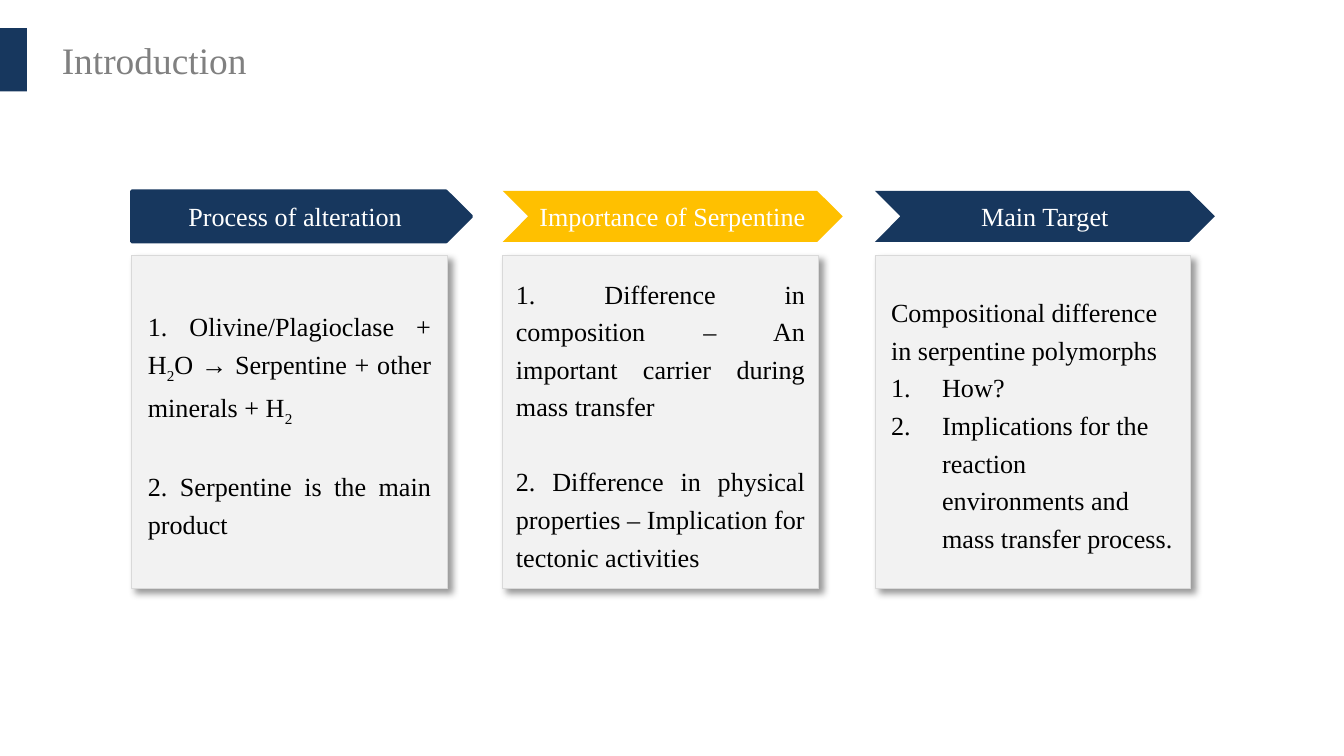
from lxml import etree
from pptx import Presentation
from pptx import util as u
from pptx.dml import color
from pptx.enum import shapes, text
from pptx.oxml import ns

HUES = {"navy": "17375E", "gold": "FFC000", "pale": "F2F2F2", "edge": "D9D9D9",
        "grey": "808080", "white": "FFFFFF", "black": "000000"}
FORM = shapes.MSO_SHAPE
SIDE = text.PP_ALIGN


def paint(shape, fill, line=None, width=0):
    shape.shadow.inherit = False
    shape.fill.solid()
    shape.fill.fore_color.rgb = color.RGBColor.from_string(HUES[fill])
    if line:
        shape.line.color.rgb = color.RGBColor.from_string(HUES[line])
        shape.line.width = u.Pt(width)
    else:
        shape.line.fill.background()


def write(shape, *lines, size=14, hue="black", align=SIDE.LEFT, wrap=True,
          space=1, gap=0, listed=False, inset=0.12):
    frame = shape.text_frame
    frame.word_wrap = wrap
    frame.auto_size = text.MSO_AUTO_SIZE.NONE
    frame.vertical_anchor = text.MSO_ANCHOR.MIDDLE
    frame.margin_left = frame.margin_right = u.Inches(inset)
    frame.margin_top = frame.margin_bottom = u.Inches(0.05)
    for row, line in enumerate(lines):
        para = frame.add_paragraph() if row else frame.paragraphs[0]
        para.alignment = align
        para.line_spacing = space
        para.space_before = u.Pt(gap if row else 0)
        if listed and row:
            props = para._p.get_or_add_pPr()
            props.set("marL", str(u.Inches(0.38)))
            props.set("indent", str(-u.Inches(0.38)))
            mark = etree.SubElement(props, ns.qn("a:buAutoNum"))
            mark.set("type", "arabicPeriod")
        for part, words in enumerate(line.split("|")):
            if not words:
                continue
            run = para.add_run()
            run.text = words
            run.font.size = u.Pt(size)
            run.font.name = "Times New Roman"
            run.font.color.rgb = color.RGBColor.from_string(HUES[hue])
            if part % 2:
                run._r.get_or_add_rPr().set("baseline", "-25000")


deck = Presentation()
deck.slide_width = u.Inches(10)
deck.slide_height = deck.slide_width * 9 // 16
slide = deck.slides.add_slide(deck.slide_layouts[5])

title = slide.shapes.title
title.left, title.top = u.Inches(0.35), u.Inches(0.22)
title.width, title.height = u.Inches(1.6), u.Inches(0.44)
write(title, "Introduction", size=20, hue="grey", wrap=False, inset=0.11)

tab = slide.shapes.add_shape(FORM.RECTANGLE, 0, u.Inches(0.21), u.Inches(0.2), u.Inches(0.47))
paint(tab, "navy")

COLS = [
    (0.98, "Process of alteration", FORM.PENTAGON, "navy", "navy",
     ["1. Olivine/Plagioclase + H|2|O → Serpentine + other minerals + H|2|",
      "2. Serpentine is the main product"],
     dict(align=SIDE.JUSTIFY, gap=20)),
    (3.74, "Importance of Serpentine", FORM.CHEVRON, "gold", None,
     ["1. Difference in composition – An important carrier during mass transfer",
      "2. Difference in physical properties – Implication for tectonic activities"],
     dict(align=SIDE.JUSTIFY, gap=20, inset=0.1)),
    (6.51, "Main Target", FORM.CHEVRON, "navy", None,
     ["Compositional difference in serpentine polymorphs", "How?",
      "Implications for the reaction environments and mass transfer process."],
     dict(listed=True)),
]

for left, head, form, fill, line, body, style in COLS:
    x = u.Inches(left)
    box = slide.shapes.add_shape(FORM.RECTANGLE, x, u.Inches(1.9), u.Inches(2.35), u.Inches(2.48))
    paint(box, "pale", "edge", 0.25)
    glow = etree.SubElement(box._element.spPr.find(ns.qn("a:effectLst")), ns.qn("a:outerShdw"))
    for key, value in dict(blurRad=u.Pt(4), dist=u.Pt(3), dir=45 * 60000,
                           algn="tl", rotWithShape=0).items():
        glow.set(key, str(value))
    tint = etree.SubElement(glow, ns.qn("a:srgbClr"), val=HUES["black"])
    etree.SubElement(tint, ns.qn("a:alpha"), val="40000")
    write(box, *body, space=1.2, **style)

    arrow = slide.shapes.add_shape(form, x, u.Inches(1.42), u.Inches(2.53), u.Inches(0.38))
    paint(arrow, fill, line, 1.5)
    write(arrow, head, hue="white", align=SIDE.CENTER, wrap=False)

deck.save("out.pptx")
